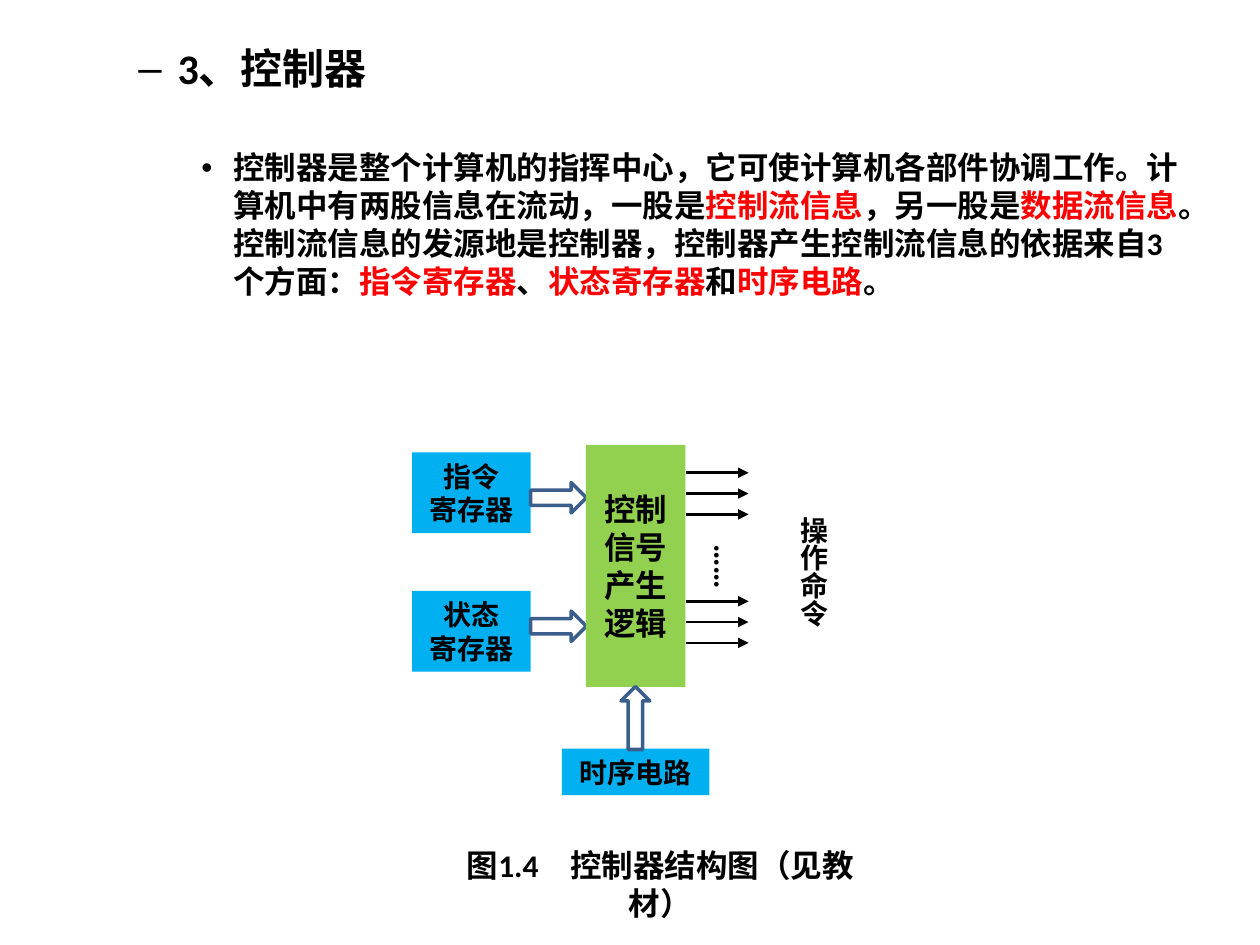
from lxml import etree
from pptx import Presentation
from pptx import util as u
from pptx.dml.color import RGBColor
from pptx.enum import shapes, text
from pptx.oxml import ns

BLACK = RGBColor(0x00, 0x00, 0x00)
WHITE = RGBColor(0xFF, 0xFF, 0xFF)
RED = RGBColor(0xFF, 0x00, 0x00)
BLUE = RGBColor(0x00, 0xB0, 0xF0)
GREEN = RGBColor(0x92, 0xD0, 0x50)
NAVY = RGBColor(0x3A, 0x5F, 0x8C)

HEADING = "3、控制器"
BODY = [
    ("控制器是整个计算机的指挥中心，它可使计算机各部件协调工作。计算机中有两股信息在流动，一股是", BLACK),
    ("控制流信息", RED),
    ("，另一股是", BLACK),
    ("数据流信息", RED),
    ("。控制流信息的发源地是控制器，控制器产生控制流信息的依据来自3个方面：", BLACK),
    ("指令寄存器", RED),
    ("、", BLACK),
    ("状态寄存器", RED),
    ("和", BLACK),
    ("时序电路", RED),
    ("。", BLACK),
]


def write(p, content, font="Calibri", size=18, align=None, bullet=None,
          margin=0, indent=0, before=0):
    if bullet:
        pPr = p._p.get_or_add_pPr()
        pPr.set("marL", str(u.Cm(margin)))
        pPr.set("indent", str(u.Cm(indent)))
        etree.SubElement(pPr, ns.qn("a:buFont")).set("typeface", "Arial")
        etree.SubElement(pPr, ns.qn("a:buChar")).set("char", bullet)
    p.alignment = align
    p.space_before = u.Pt(before)
    runs = [(content, BLACK)] if isinstance(content, str) else content
    for words, color in runs:
        r = p.add_run()
        r.text = words
        r.font.name = font
        r.font.size = u.Pt(size)
        r.font.bold = True
        r.font.color.rgb = color


class Deck:
    def __init__(self, slide, font="Calibri"):
        self.s = slide
        self.font = font

    def textbox(self, x, y, w, h, wrap=True, vertical=False):
        sp = self.s.shapes.add_textbox(u.Cm(x), u.Cm(y), u.Cm(w), u.Cm(h))
        tf = sp.text_frame
        tf.word_wrap = wrap
        if vertical:
            tf._txBody.bodyPr.set("vert", "eaVert")
        return tf

    def shape(self, kind, x, y, w, h):
        sp = self.s.shapes.add_shape(kind, u.Cm(x), u.Cm(y), u.Cm(w), u.Cm(h))
        sp.shadow.inherit = False
        return sp

    def block(self, x, y, w, h, lines, fill, size=16):
        sp = self.shape(shapes.MSO_SHAPE.RECTANGLE, x, y, w, h)
        sp.fill.solid()
        sp.fill.fore_color.rgb = fill
        sp.line.fill.background()
        tf = sp.text_frame
        tf.word_wrap = True
        for i, line in enumerate(lines):
            p = tf.add_paragraph() if i else tf.paragraphs[0]
            write(p, line, font=self.font, size=size, align=text.PP_ALIGN.CENTER)
        return tf

    def block_arrow(self, kind, x, y, w, h):
        sp = self.shape(kind, x, y, w, h)
        sp.fill.background()
        sp.line.color.rgb = NAVY
        sp.line.width = u.Pt(2)

    def signal(self, x1, x2, y):
        c = self.s.shapes.add_connector(
            shapes.MSO_CONNECTOR.STRAIGHT, u.Cm(x1), u.Cm(y), u.Cm(x2), u.Cm(y))
        c.line.color.rgb = BLACK
        c.line.width = u.Pt(1.5)
        ln = c.line._get_or_add_ln()
        etree.SubElement(ln, ns.qn("a:tailEnd")).set("type", "triangle")
        etree.SubElement(c._element.spPr, ns.qn("a:effectLst"))


def main():
    prs = Presentation()
    prs.slide_width, prs.slide_height = u.Cm(25.4), u.Cm(19.05)
    d = Deck(prs.slides.add_slide(prs.slide_layouts[6]))

    tf = d.textbox(1.27, 0.74, 22.86, 7.5)
    write(tf.paragraphs[0], HEADING, size=24, bullet="–", margin=2.06, indent=-0.79)
    write(tf.add_paragraph(), BODY, bullet="•", margin=3.18, indent=-0.64, before=31.5)

    tf = d.block(8.51, 16.94, 9.6, 1.02, ["图1.4　控制器结构图（见教材）"], WHITE, size=18)
    tf.vertical_anchor = text.MSO_ANCHOR.TOP
    tf.margin_left = tf.margin_right = u.Cm(0.5)

    tf = d.textbox(13.89, 10.72, 1.27, 2.39, vertical=True)
    write(tf.paragraphs[0], "……")
    for top in (9.53, 12.12):
        for i in range(3):
            d.signal(13.82, 15.09, top + 0.42 * i)

    for name, y, arrow_y in (("指令", 9.12, 9.73), ("状态", 11.91, 12.32)):
        d.block(8.31, y, 2.39, 1.63, [name, "寄存器"], BLUE)
        d.block_arrow(shapes.MSO_SHAPE.RIGHT_ARROW, 10.7, arrow_y, 1.12, 0.61)
    d.block(11.81, 8.97, 2.01, 4.88, ["控制", "信号", "产生", "逻辑"], GREEN, size=18)
    d.block(11.33, 15.09, 2.97, 0.94, ["时序电路"], BLUE)
    d.block_arrow(shapes.MSO_SHAPE.UP_ARROW, 12.52, 13.84, 0.58, 1.27)

    tf = d.textbox(15.67, 10.16, 1.19, 2.49, wrap=False, vertical=True)
    write(tf.paragraphs[0], "操作命令", size=16)

    prs.save("out.pptx")


if __name__ == "__main__":
    main()
